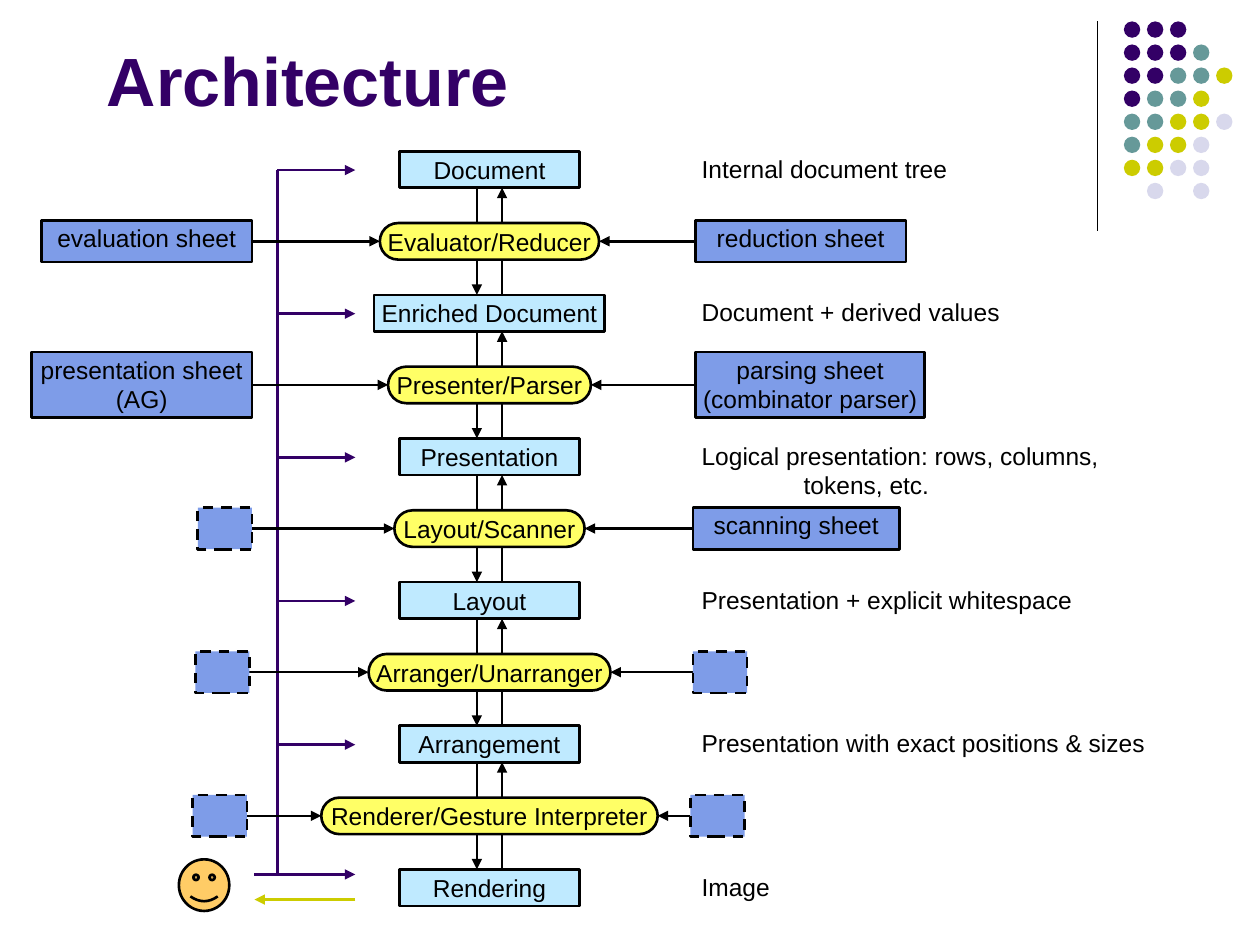
from collections import namedtuple

from lxml.etree import SubElement
from pptx import Presentation
from pptx.dml.color import RGBColor
from pptx.enum.dml import MSO_LINE_DASH_STYLE as Dash
from pptx.enum.shapes import MSO_CONNECTOR, MSO_SHAPE as Shape
from pptx.enum.text import MSO_ANCHOR as Anchor, PP_ALIGN as Align
from pptx.oxml.ns import qn
from pptx.util import Inches, Pt

# The slide is a grid of 100 columns by 75 rows of square cells
COLUMNS, ROWS = 100, 75
CELL = Inches(0.1)
Box = namedtuple("Box", "left top width height")

BLACK, PURPLE, TEAL, OLIVE, LAVENDER = "000000", "330066", "669999", "CCCC00", "D8D8EC"
LEVEL_FILL, PROCESS_FILL, SHEET_FILL, FACE_FILL = "BFEAFF", "FFFF66", "7E9CE8", "FFCC66"

# Layers of the architecture: name, box width, description
LEVELS = [
    ("Document", 14.3, "Internal document tree"),
    ("Enriched Document", 18.3, "Document + derived values"),
    ("Presentation", 14.3, "Logical presentation: rows, columns, tokens, etc."),
    ("Layout", 14.3, "Presentation + explicit whitespace"),
    ("Arrangement", 14.3, "Presentation with exact positions & sizes"),
    ("Rendering", 14.3, "Image"),
]

# Steps between layers: name, width, then (inner edge, width, lines) of each sheet
PROCESSES = [
    ("Evaluator/Reducer", 17.4,
     (20, 16.7, ["evaluation sheet"]), (55.2, 16.7, ["reduction sheet"])),
    ("Presenter/Parser", 16.1,
     (20, 17.5, ["presentation sheet", "(AG)"]),
     (55.2, 18.2, ["parsing sheet", "(combinator parser)"])),
    ("Layout/Scanner", 15.1, (20, 4.3, []), (55, 16.4, ["scanning sheet"])),
    ("Arranger/Unarranger", 19.2, (19.8, 4.3, []), (55, 4.3, [])),
    ("Renderer/Gesture Interpreter", 26.7, (19.6, 4.3, []), (54.8, 4.3, [])),
]
PITCH, BAR, PROCESS_OFFSET = 11.4, 2.9, 5.7

DOTS = ["PPP", "PPPT", "PPTTY", "PTTY", "TTYYL", "TYYL", "YYLL", " L L"]
DOT_COLOURS = {"P": PURPLE, "T": TEAL, "Y": OLIVE, "L": LAVENDER}


def colour(value):
    return RGBColor.from_string(value)


def cells(*lengths):
    return [int(length * CELL) for length in lengths]


def write(frame, lines, align=Align.LEFT, size=14, text_colour=BLACK, bold=False):
    for index, line in enumerate(lines):
        paragraph = frame.paragraphs[0] if index == 0 else frame.add_paragraph()
        paragraph.alignment = align
        run = paragraph.add_run()
        run.text = line
        run.font.name, run.font.size, run.font.bold = "Arial", Pt(size), bold
        run.font.color.rgb = colour(text_colour)


def add_block(slide, kind, box, fill, lines=(), anchor=Anchor.MIDDLE, outlined=True):
    shape = slide.shapes.add_shape(kind, *cells(*box))
    shape.shadow.inherit = False
    shape.fill.solid()
    shape.fill.fore_color.rgb = colour(fill)
    if outlined:
        shape.line.color.rgb = colour(BLACK)
        shape.line.width = Pt(1.5)
    else:
        shape.line.fill.background()
    if lines:
        frame = shape.text_frame
        frame.word_wrap = False
        frame.vertical_anchor = anchor
        frame.margin_left = frame.margin_right = Inches(0.05)
        frame.margin_top = frame.margin_bottom = Inches(0.02)
        write(frame, lines, Align.CENTER)
    return shape


def add_line(slide, start, end, line_colour=BLACK, width=1.5, arrow=True):
    connector = slide.shapes.add_connector(MSO_CONNECTOR.STRAIGHT, *cells(*start, *end))
    connector.line.color.rgb = colour(line_colour)
    connector.line.width = Pt(width)
    if arrow:
        SubElement(connector.line._get_or_add_ln(), qn("a:tailEnd"), type="triangle")
    SubElement(connector._element.spPr, qn("a:effectLst"))


def add_text(slide, box, lines, anchor=Anchor.TOP, **style):
    frame = slide.shapes.add_textbox(*cells(*box)).text_frame
    frame.word_wrap = True
    frame.vertical_anchor = anchor
    write(frame, lines, **style)
    return frame


def draw_ornament(slide, box):
    """Rule on the left edge and a grid of dots beside it."""
    add_line(slide, (box.left, box.top), (box.left, box.top + box.height),
             width=0.75, arrow=False)
    step, size = 1.83, 1.3
    for row, pattern in enumerate(DOTS):
        for column, key in enumerate(pattern):
            if key in DOT_COLOURS:
                dot = Box(box.left + 2.1 + column * step, box.top + row * step, size, size)
                add_block(slide, Shape.OVAL, dot, DOT_COLOURS[key], outlined=False)


def draw_stack(slide, box):
    """Layers, the steps between them and the arrows that join them."""
    centre = box.left + box.width / 2
    for index in range(len(PROCESSES)):
        bottom = box.top + index * PITCH + BAR
        next_top = box.top + (index + 1) * PITCH
        add_line(slide, (centre - 1, bottom), (centre - 1, next_top))
        add_line(slide, (centre + 1, next_top), (centre + 1, bottom))
    for index, (name, width, _) in enumerate(LEVELS):
        bar = Box(centre - width / 2, box.top + index * PITCH, width, BAR)
        add_block(slide, Shape.RECTANGLE, bar, LEVEL_FILL, [name])
    for index, (name, width, *_) in enumerate(PROCESSES):
        top = box.top + PROCESS_OFFSET + index * PITCH
        pill = Box(centre - width / 2, top, width, BAR)
        add_block(slide, Shape.ROUNDED_RECTANGLE, pill, PROCESS_FILL, [name]).adjustments[0] = 0.5


def draw_sheets(slide, box):
    """Sheets on both sides, each pointing at its step."""
    centre = box.left + box.width / 2
    for index, (_, width, left_sheet, right_sheet) in enumerate(PROCESSES):
        middle = box.top + PROCESS_OFFSET + index * PITCH + BAR / 2
        for side, (edge, sheet_width, lines) in ((-1, left_sheet), (1, right_sheet)):
            height = 5.2 if len(lines) > 1 else 3.3
            left = edge - sheet_width if side < 0 else edge
            sheet = Box(left, middle - height / 2, sheet_width, height)
            add_line(slide, (edge, middle), (centre + side * width / 2, middle))
            shape = add_block(slide, Shape.RECTANGLE, sheet, SHEET_FILL, lines, Anchor.TOP)
            if not lines:
                shape.line.dash_style = Dash.DASH


def draw_descriptions(slide, box):
    for index, (*_, description) in enumerate(LEVELS):
        area = Box(box.left, box.top + index * PITCH - 0.3, box.width, 3.6)
        frame = add_text(slide, area, [description])
        if index == 2:  # hanging indent for the wrapped line
            indent = Inches(0.81)
            properties = frame.paragraphs[0]._p.get_or_add_pPr()
            properties.set("marL", str(indent))
            properties.set("indent", str(-indent))


def draw_user(slide, box):
    """User at the bottom left, with a bus that branches to every layer."""
    right, bus, bottom = box.left + box.width, box.left + 7.8, box.top + 57.4
    arrow_start = box.left + 6
    add_line(slide, (bus, box.top + 1.5), (bus, bottom), PURPLE, arrow=False)
    for index in range(len(LEVELS) - 1):
        y = box.top + index * PITCH + 1.5
        add_line(slide, (bus, y), (right, y), PURPLE)
    add_line(slide, (arrow_start, bottom), (right, bottom), PURPLE)
    add_line(slide, (right, bottom + 2), (arrow_start, bottom + 2), OLIVE)
    add_block(slide, Shape.SMILEY_FACE, Box(box.left, bottom - 1.2, 4, 4.1), FACE_FILL)


def main():
    presentation = Presentation()
    presentation.slide_width, presentation.slide_height = cells(COLUMNS, ROWS)
    slide = presentation.slides.add_slide(presentation.slide_layouts[6])

    stack_box = Box(25.5, 12, 26.7, 60)
    draw_ornament(slide, Box(87.1, 1.7, 11, 16.6))
    draw_user(slide, Box(14.2, 12, 14, 60))
    draw_sheets(slide, stack_box)
    draw_stack(slide, stack_box)
    draw_descriptions(slide, Box(54.7, 12, 38, 60))
    add_text(slide, Box(7.5, 0, 85, 12.5), ["Architecture"], Anchor.MIDDLE,
             size=39, text_colour=PURPLE, bold=True)

    presentation.save("out.pptx")


if __name__ == "__main__":
    main()
